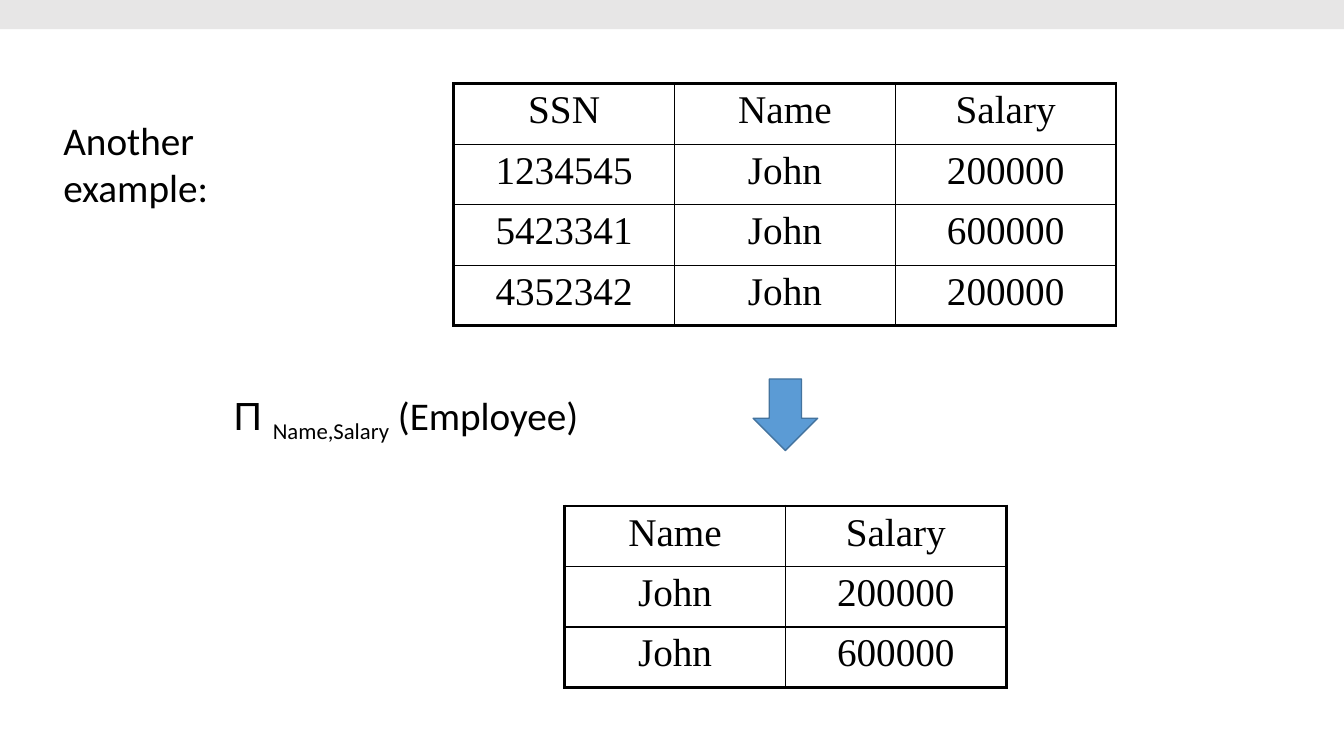
from dataclasses import dataclass

from lxml import etree
from pptx import Presentation
from pptx import util as u
from pptx.dml.color import RGBColor
from pptx.enum import shapes, text
from pptx.oxml.ns import qn

PX = 9144  # EMU per px, 100 px to the inch
COLORS = {
    "text": "000000",
    "border": "000000",
    "arrow": "5B9BD5",
    "arrow_line": "43739E",
    "banner": "E7E6E6",
}
COL_W, ROW_H = 219, 60
OUTER, INNER = 2.25, 1


@dataclass
class Relation:
    left: int
    top: int
    rows: list[list[str]]


@dataclass
class Block:
    kind: shapes.MSO_SHAPE
    box: tuple[int, int, int, int]
    fill: str
    line: str | None = None


@dataclass
class Label:
    box: tuple[int, int, int, int]
    wrap: bool
    runs: list[tuple[str, dict]]


RELATIONS = [
    Relation(450, 83, [
        ["SSN", "Name", "Salary"],
        ["1234545", "John", "200000"],
        ["5423341", "John", "600000"],
        ["4352342", "John", "200000"],
    ]),
    Relation(560, 502, [
        ["Name", "Salary"],
        ["John", "200000"],
        ["John", "600000"],
    ]),
]
BLOCKS = [
    Block(shapes.MSO_SHAPE.DOWN_ARROW, (747, 376, 64, 71), "arrow", "arrow_line"),
    Block(shapes.MSO_SHAPE.RECTANGLE, (0, 0, 1333, 29), "banner"),
]
LABELS = [
    Label((222, 383, 383, 57), False, [
        ("Π ", {"font": "Arial"}),
        ("Name,Salary", {"baseline": -25}),
        (" (Employee)", {}),
    ]),
    Label((53, 110, 295, 57), True, [("Another example:", {})]),
]


def px(*values: int) -> list[u.Emu]:
    return [u.Emu(v * PX) for v in values]


def rgb(name: str) -> RGBColor:
    return RGBColor.from_string(COLORS[name])


def add_text(p, content: str, *, font: str = "Calibri", size: int = 28,
             color: str = "text", baseline: int = 0) -> None:
    r = p.add_run()
    r.text = content
    r.font.name, r.font.size, r.font.bold = font, u.Pt(size), False
    r.font.color.rgb = rgb(color)
    if baseline:
        r._r.get_or_add_rPr().set("baseline", str(baseline * 1000))


def add_border(cell, side: str, width: float) -> None:
    ln = etree.SubElement(cell._tc.get_or_add_tcPr(), qn(f"a:ln{side}"),
                          w=str(int(u.Pt(width))))
    fill = etree.SubElement(ln, qn("a:solidFill"))
    etree.SubElement(fill, qn("a:srgbClr"), val=COLORS["border"])


def add_relation(slide, rel: Relation) -> None:
    n_rows, n_cols = len(rel.rows), len(rel.rows[0])
    table = slide.shapes.add_table(
        n_rows, n_cols,
        *px(rel.left, rel.top, n_cols * COL_W, n_rows * ROW_H)).table
    table.first_row = table.horz_banding = False
    for i, row in enumerate(rel.rows):
        for j, value in enumerate(row):
            cell = table.cell(i, j)
            # Thick lines only on the outer edge
            edges = {"L": j == 0, "R": j == n_cols - 1,
                     "T": i == 0, "B": i == n_rows - 1}
            for side, is_outer in edges.items():
                add_border(cell, side, OUTER if is_outer else INNER)
            cell.fill.background()
            p = cell.text_frame.paragraphs[0]
            p.alignment = text.PP_ALIGN.CENTER
            add_text(p, value, font="Times New Roman")


def add_label(slide, label: Label) -> None:
    tf = slide.shapes.add_textbox(*px(*label.box)).text_frame
    tf.word_wrap = label.wrap
    tf.auto_size = text.MSO_AUTO_SIZE.SHAPE_TO_FIT_TEXT
    for content, style in label.runs:
        add_text(tf.paragraphs[0], content, **style)


def add_block(slide, block: Block) -> None:
    sp = slide.shapes.add_shape(block.kind, *px(*block.box))
    sp.shadow.inherit = False
    sp.fill.solid()
    sp.fill.fore_color.rgb = rgb(block.fill)
    if block.line:
        sp.line.color.rgb = rgb(block.line)
        sp.line.width = u.Pt(1)
    else:
        sp.line.fill.background()


def main() -> None:
    prs = Presentation()
    prs.slide_width, prs.slide_height = px(1333, 750)
    slide = prs.slides.add_slide(prs.slide_layouts[6])
    # Relations before and after the projection
    for rel in RELATIONS:
        add_relation(slide, rel)
    # Heading and projection expression
    for label in LABELS:
        add_label(slide, label)
    # Arrow and top banner
    for block in BLOCKS:
        add_block(slide, block)
    prs.save("out.pptx")


if __name__ == "__main__":
    main()
